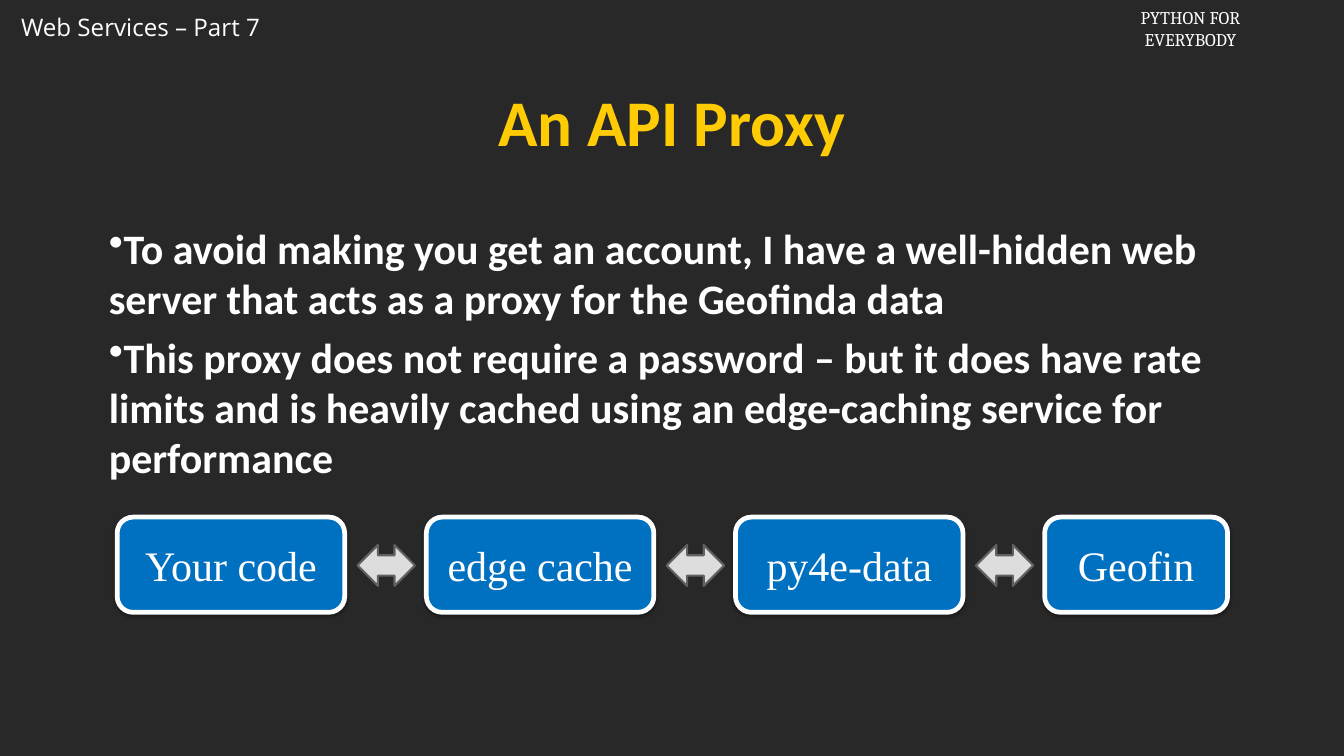
from lxml.etree import SubElement
from pptx import Presentation
from pptx.dml.color import RGBColor
from pptx.enum.shapes import MSO_SHAPE
from pptx.enum.text import MSO_ANCHOR, PP_ALIGN
from pptx.oxml import parse_xml
from pptx.oxml.ns import nsdecls, qn
from pptx.util import Inches, Pt

SHADOW = (
    f'<a:effectLst {nsdecls("a")}>'
    '<a:outerShdw blurRad="39400" dist="22900" dir="5400000" rotWithShape="0">'
    '<a:srgbClr val="000000"><a:alpha val="35000"/></a:srgbClr>'
    '</a:outerShdw></a:effectLst>'
)
rgb = RGBColor.from_string


def write(shape, lines, face, size, ink="FFFFFF", bold=False, align=PP_ALIGN.CENTER):
    """Put one paragraph per line into the shape and return the paragraphs."""
    frame = shape.text_frame
    frame.text = "\n".join(lines)
    for para in frame.paragraphs:
        para.alignment = align
        para.font.name = face
        para.font.size = Pt(size)
        para.font.bold = bold
        para.font.color.rgb = rgb(ink)
    return frame.paragraphs


def block(kind, left, top, width, height, fill, edge, weight):
    shape = slide.shapes.add_shape(kind, *map(Inches, (left, top, width, height)))
    shape.shadow.inherit = False
    shape.fill.solid()
    shape.fill.fore_color.rgb = rgb(fill)
    shape.line.color.rgb = rgb(edge)
    shape.line.width = Pt(weight)
    return shape


deck = Presentation()
deck.slide_width, deck.slide_height = Inches(17.78), Inches(10)
slide = deck.slides.add_slide(deck.slide_layouts[6])
slide.background.fill.solid()
slide.background.fill.fore_color.rgb = rgb("282828")

# Page header
part = slide.shapes.add_textbox(Inches(0.18), Inches(0.12), Inches(3.5), Inches(0.49))
write(part, ["Web Services – Part 7"], "Open Sans", 23, align=PP_ALIGN.LEFT)
course = slide.shapes.add_textbox(Inches(14.88), Inches(0.04), Inches(1.74), Inches(0.67))
write(course, ["PYTHON FOR", "EVERYBODY"], "Cambria", 17)

# Title and bullets
title = slide.shapes.add_textbox(Inches(0.69), Inches(0.99), Inches(16.4), Inches(1.36))
body = slide.shapes.add_textbox(Inches(1.26), Inches(2.85), Inches(15.24), Inches(3.25))
for box in (title, body):
    frame = box.text_frame
    frame.word_wrap = True
    frame.margin_left = frame.margin_right = Inches(0.18)
    frame.margin_top = frame.margin_bottom = Inches(0.09)
write(title, ["An API Proxy"], "Calibri", 62, "FFCB05", True)

points = [
    "To avoid making you get an account, I have a well-hidden web server "
    "that acts as a proxy for the Geofinda data",
    "This proxy does not require a password – but it does have rate limits "
    "and is heavily cached using an edge-caching service for performance",
]
body.text_frame.text = "\n".join(points)
paras = write(body, points, "Calibri", 39.9, bold=True, align=PP_ALIGN.LEFT)
for para in paras:
    props = para._p.get_or_add_pPr()
    props.set("marL", "0")
    props.set("indent", "0")
    bullet = SubElement(props, qn("a:buChar"), char="•")
    props.insert(0, bullet)
paras[1].space_before = Pt(8)

# Request chain: equal steps, with an arrow in each gap
left, top, step, high = 1.55, 6.84, 4.09, 1.26
names = ["Your code", "edge cache", "py4e-data", "Geofin"]
for col, name in enumerate(names):
    width = 2.42 if name == names[-1] else 3.01
    node = block(MSO_SHAPE.ROUNDED_RECTANGLE, left + col * step, top, width, high,
                 "0070C0", "FFFFFF", 4.5)
    effects = node._element.spPr.find(qn("a:effectLst"))
    effects.getparent().replace(effects, parse_xml(SHADOW))
    node.text_frame.vertical_anchor = MSO_ANCHOR.MIDDLE
    write(node, [name], "Times New Roman", 40)

for col in range(len(names) - 1):
    block(MSO_SHAPE.LEFT_RIGHT_ARROW, 4.73 + col * step, 7.21, 0.76, 0.54,
          "DDDDDD", "616161", 2)

deck.save("out.pptx")
